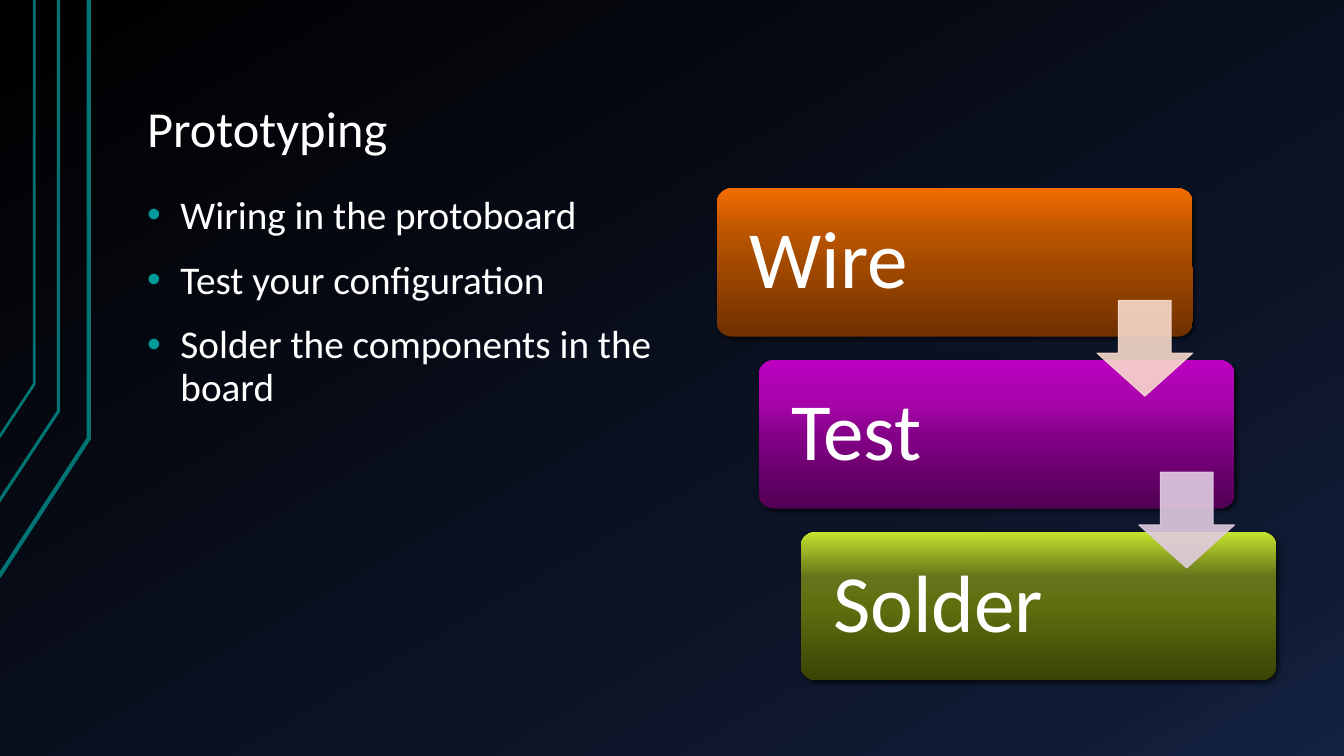
from lxml import etree
from pptx import Presentation
from pptx.dml.color import RGBColor
from pptx.enum.shapes import MSO_SHAPE
from pptx.enum.text import MSO_ANCHOR, PP_ALIGN
from pptx.oxml.ns import qn
from pptx.util import Inches, Pt

ROUNDED = MSO_SHAPE.ROUNDED_RECTANGLE
DOWN_ARROW = MSO_SHAPE.DOWN_ARROW
TOP, MIDDLE, BOTTOM = MSO_ANCHOR.TOP, MSO_ANCHOR.MIDDLE, MSO_ANCHOR.BOTTOM
LEFT = PP_ALIGN.LEFT

COLORS = {"text": "FFFFFF", "bullet": "009999", "trace": "007373", "shadow": "000000"}
FONT = "Calibri"
TITLE = "Prototyping"
BULLETS = [
    "Wiring in the protoboard",
    "Test your configuration",
    "Solder the components in the board",
]
BACKGROUND = [(0, "000000"), (85, "0F1931"), (100, "142242")]
STEPS = [
    ("Wire", [(0, "703000"), (50, "A44A00"), (70, "BC5500"), (100, "F26D00")]),
    ("Test", [(0, "520054"), (50, "850088"), (70, "A505A9"), (100, "BC00C0")]),
    ("Solder", [(0, "394404"), (50, "5F6F0F"), (70, "65741A"), (100, "C4E32D")]),
]
ARROW_COLORS = ["F7DACC", "E0CCE1"]
TRACES = [
    ([(-0.01, 5.72), (0.88, 4.35), (0.88, 0)], 3),
    ([(-0.02, 4.99), (0.58, 4.08), (0.58, 0)], 2.25),
    ([(-0.01, 4.34), (0.34, 3.81), (0.34, 0)], 2),
]
STEP_LEFT, STEP_TOP, STEP_WIDTH, STEP_HEIGHT = 7.11, 1.87, 4.72, 1.47
SHIFT_X, SHIFT_Y = 0.415, 1.705
ARROW_X, ARROW_Y, ARROW_SIZE = 3.77, 1.11, 0.95


def add_element(parent, tag, **attributes):
    element = etree.SubElement(parent, qn(tag))
    for name, value in attributes.items():
        element.set(name, str(value))
    return element


def add_color(parent, color, alpha=100):
    element = add_element(parent, "a:srgbClr", val=color)
    if alpha < 100:
        add_element(element, "a:alpha", val=alpha * 1000)


def paint_gradient(owner, fill, stops, angle):
    fill.gradient()
    fill.gradient_angle = angle
    stop_list = next(owner.element.iter(qn("a:gsLst")))
    for stop in list(stop_list):
        stop_list.remove(stop)
    for position, color in stops:
        add_color(add_element(stop_list, "a:gs", pos=position * 1000), color)


def write_text(shape, lines, size, anchor, inset_x, inset_y, bullet=False, space_before=0):
    frame = shape.text_frame
    frame.word_wrap = True
    frame.vertical_anchor = anchor
    frame.margin_left = frame.margin_right = Inches(inset_x)
    frame.margin_top = frame.margin_bottom = Inches(inset_y)
    for index, line in enumerate(lines):
        paragraph = frame.paragraphs[0] if index == 0 else frame.add_paragraph()
        paragraph.alignment = LEFT
        paragraph.line_spacing = 0.9
        paragraph.space_before = Pt(space_before)
        run = paragraph.add_run()
        run.text = line
        run.font.name = FONT
        run.font.size = Pt(size)
        run.font.color.rgb = RGBColor.from_string(COLORS["text"])
        if bullet:
            properties = paragraph._p.get_or_add_pPr()
            properties.set("marL", str(Inches(0.33)))
            properties.set("indent", str(Inches(-0.33)))
            add_color(add_element(properties, "a:buClr"), COLORS["bullet"])
            add_element(properties, "a:buFont", typeface="Arial")
            add_element(properties, "a:buChar", char="•")


def add_trace(slide, points, width):
    corners = [(Inches(x), Inches(y)) for x, y in points]
    builder = slide.shapes.build_freeform(*corners[0])
    builder.add_line_segments(corners[1:], close=False)
    shape = builder.convert_to_shape()
    shape.shadow.inherit = False
    shape.fill.background()
    shape.line.color.rgb = RGBColor.from_string(COLORS["trace"])
    shape.line.width = Pt(width)


def add_step(slide, index, label, stops):
    shape = slide.shapes.add_shape(
        ROUNDED, Inches(STEP_LEFT + index * SHIFT_X), Inches(STEP_TOP + index * SHIFT_Y),
        Inches(STEP_WIDTH), Inches(STEP_HEIGHT))
    shape.adjustments[0] = 0.1
    paint_gradient(shape, shape.fill, stops, 90)
    shape.line.fill.background()
    shape.shadow.inherit = False
    effects = shape.element.spPr.find(qn("a:effectLst"))
    shadow = add_element(effects, "a:outerShdw", blurRad=Pt(3), dist=Pt(2),
                         dir=45 * 60000, algn="ctr", rotWithShape=0)
    add_color(shadow, COLORS["shadow"], 60)
    write_text(shape, [label], 58, MIDDLE, 0.28, 0.24)


def add_arrow(slide, index, color):
    shape = slide.shapes.add_shape(
        DOWN_ARROW, Inches(STEP_LEFT + ARROW_X + index * SHIFT_X),
        Inches(STEP_TOP + ARROW_Y + index * SHIFT_Y), Inches(ARROW_SIZE), Inches(ARROW_SIZE))
    shape.adjustments[0] = 0.55
    shape.adjustments[1] = 0.45
    shape.shadow.inherit = False
    shape.fill.solid()
    shape.fill.fore_color.rgb = RGBColor.from_string(color)
    shape.line.color.rgb = RGBColor.from_string(color)
    shape.line.width = Pt(0.75)
    for element in shape.element.spPr.iter(qn("a:srgbClr")):
        add_element(element, "a:alpha", val=90000)


def main():
    presentation = Presentation()
    presentation.slide_width = Inches(13.33)
    presentation.slide_height = Inches(7.5)
    slide = presentation.slides.add_slide(presentation.slide_layouts[6])
    paint_gradient(slide, slide.background.fill, BACKGROUND, 300)
    for points, width in TRACES:
        add_trace(slide, points, width)
    title = slide.shapes.add_textbox(Inches(1.33), Inches(0.3), Inches(11.33), Inches(1.34))
    write_text(title, [TITLE], 36, BOTTOM, 0.13, 0.07)
    body = slide.shapes.add_textbox(Inches(1.33), Inches(1.87), Inches(5.55), Inches(4.88))
    write_text(body, BULLETS, 28, TOP, 0.13, 0.07, bullet=True, space_before=16)
    for index, (label, stops) in enumerate(STEPS):
        add_step(slide, index, label, stops)
    for index, color in enumerate(ARROW_COLORS):
        add_arrow(slide, index, color)
    presentation.save("out.pptx")


if __name__ == "__main__":
    main()
